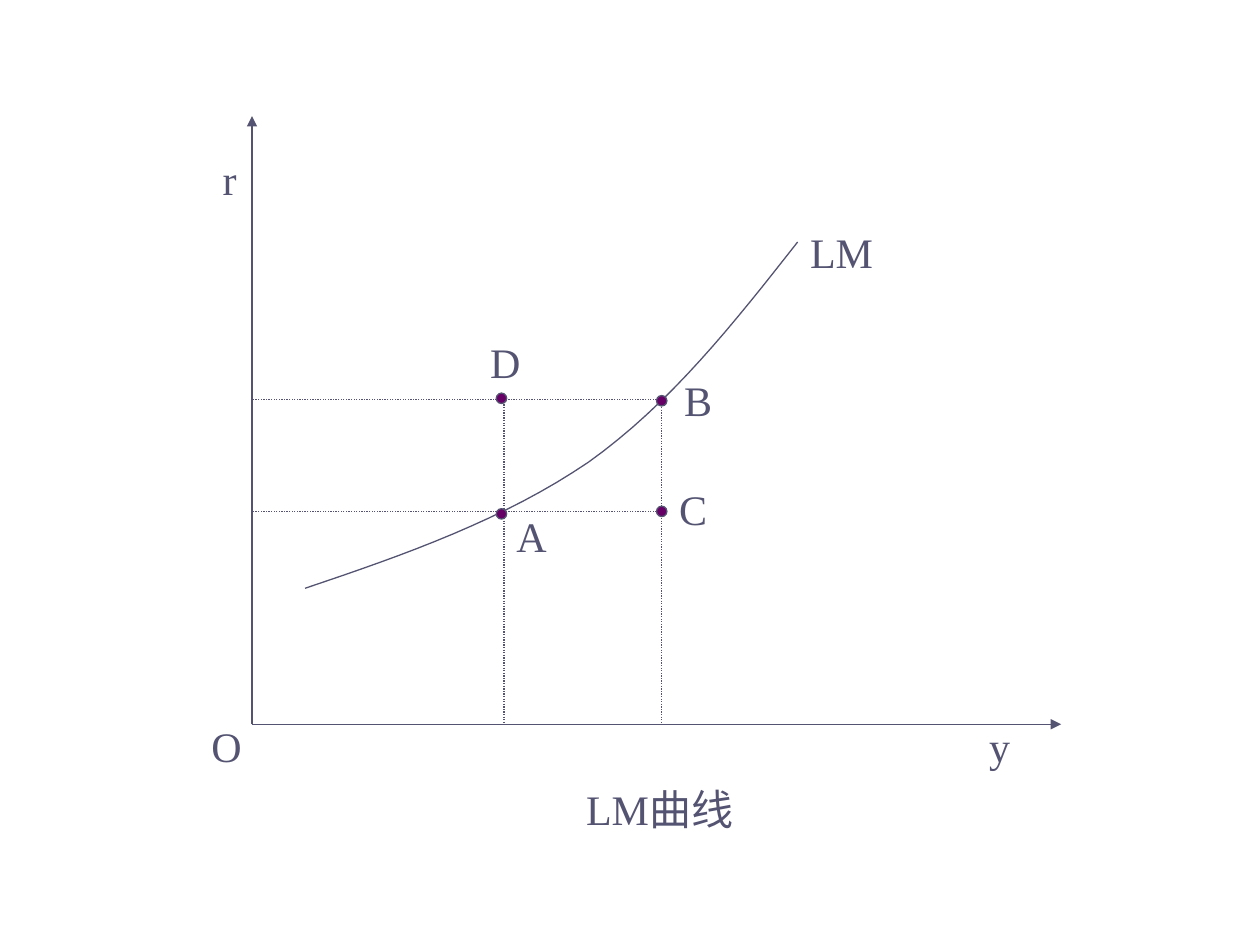
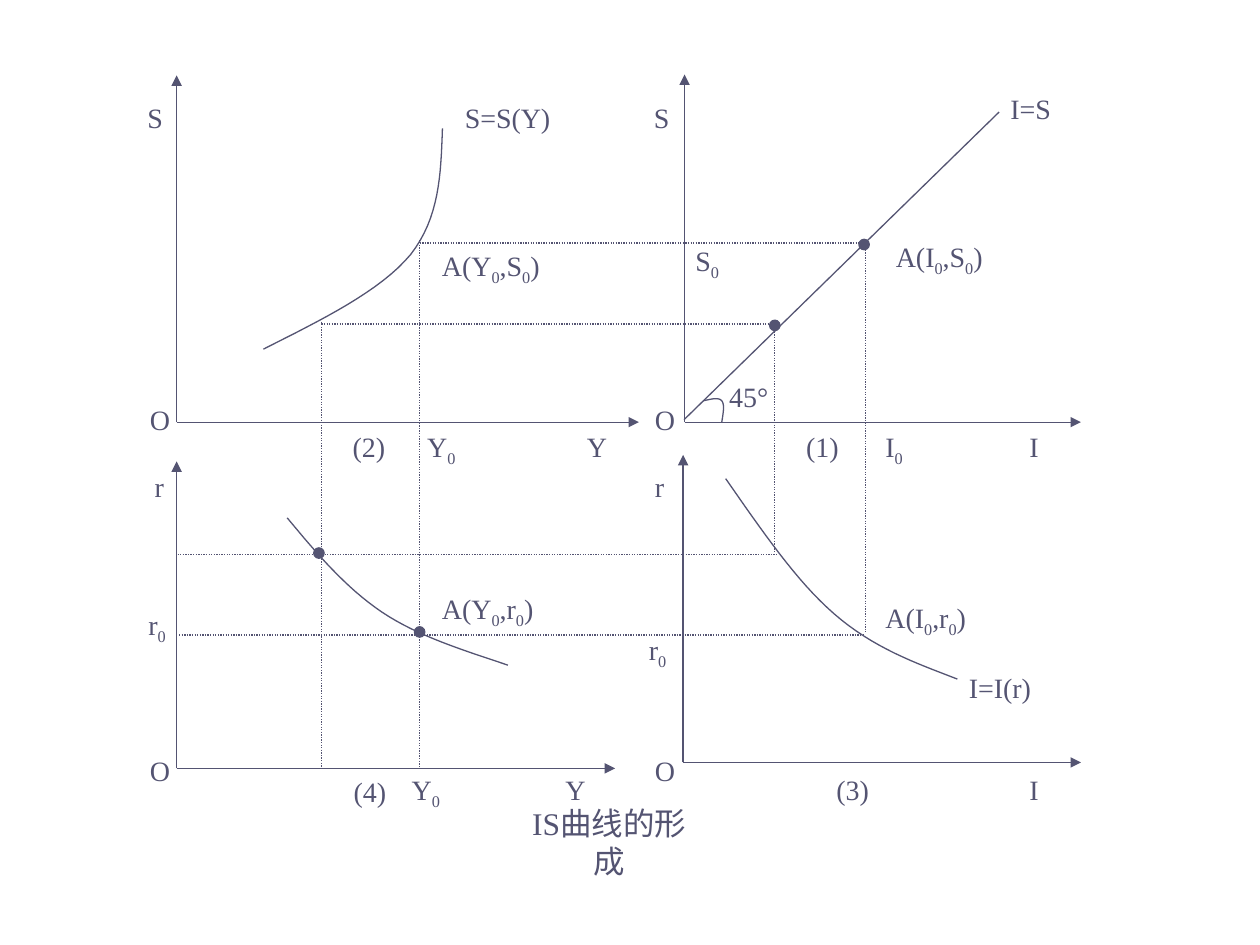
import lxml.etree
import pptx
import pptx.dml.color
import pptx.enum.dml
import pptx.enum.shapes
import pptx.enum.text
import pptx.oxml.ns
import pptx.util

Cm = pptx.util.Cm
qn = pptx.oxml.ns.qn
Align = pptx.enum.text.PP_ALIGN
STRAIGHT = pptx.enum.shapes.MSO_CONNECTOR.STRAIGHT
OVAL = pptx.enum.shapes.MSO_SHAPE.OVAL
INK = pptx.dml.color.RGBColor(0x54, 0x54, 0x72)
PURPLE = pptx.dml.color.RGBColor(0x66, 0x00, 0x66)
FONT = "Times New Roman"
DOT = 0.21
CURVE_STEPS = 16


def write(box, text, size=16, align=Align.LEFT, wrap=True):
    frame = box.text_frame
    frame.word_wrap = wrap
    frame.auto_size = pptx.enum.text.MSO_AUTO_SIZE.NONE
    frame.vertical_anchor = pptx.enum.text.MSO_ANCHOR.TOP
    para = frame.paragraphs[0]
    para.alignment = align
    first, *rest = text.split("_")
    pieces = [(first, False)]
    for part in rest:
        pieces += [(part[0], True), (part[1:], False)]
    for piece, lowered in pieces:
        if piece:
            span = para.add_run()
            span.text = piece
            span.font.name = FONT
            span.font.size = pptx.util.Pt(size)
            span.font.color.rgb = INK
            if lowered:
                span.font._element.set("baseline", "-25000")


def outline(shape, dotted=False, arrow=False):
    shape.line.color.rgb = INK
    shape.line.width = pptx.util.Pt(0.75)
    if dotted:
        shape.line.dash_style = pptx.enum.dml.MSO_LINE.ROUND_DOT
    properties = shape._element.spPr
    if arrow:
        lxml.etree.SubElement(properties.find(qn("a:ln")), qn("a:tailEnd"), type="triangle")
    lxml.etree.SubElement(properties, qn("a:effectLst"))


lm_diagram = {
    "caption": ("LM曲线", 24, Align.LEFT, (11.56, 15.67, 3.48, 2.29)),
    "label_size": 24,
    "label_wrap": True,
    "dot_color": PURPLE,
    "axes": [(5.08, 14.6, 2.34, 21.39)],
    "solid": [],
    "curves": [
        [(6.15, 11.86), (8.18, 11.18), (10.19, 10.46), (11.86, 9.32),
         (13.51, 8.15), (14.81, 6.5), (16.08, 4.88)],
    ],
    "dotted": [
        (13.34, 8.05, 13.34, 14.6),
        (13.34, 8.05, 5.08, 8.05),
        (10.16, 8.05, 10.16, 14.6),
        (13.34, 10.31, 5.08, 10.31),
    ],
    "dots": [(13.34, 8.08), (10.11, 8.03), (13.34, 10.31), (10.11, 10.36)],
    "labels": [
        ("O", 4.01, 14.4, 1.7),
        ("B", 13.54, 7.42, 1.47),
        ("LM", 16.08, 4.45, 2.11),
        ("D", 9.63, 6.65, 1.47),
        ("C", 13.44, 9.63, 1.27),
        ("A", 10.16, 10.16, 1.07),
        ("r", 4.24, 2.97, 1.7),
        ("y", 19.69, 14.4, 1.9),
    ],
}

is_diagram = {
    "caption": ("IS曲线的形成", 18, Align.CENTER, (10.16, 16.08, 4.24, 1.78)),
    "label_size": 16,
    "label_wrap": False,
    "dot_color": INK,
    "axes": [
        (3.56, 8.51, 1.52, 12.88),
        (13.8, 8.51, 1.5, 21.79),
        (3.56, 15.49, 9.3, 12.4),
        (13.77, 15.37, 9.17, 21.79),
    ],
    "solid": [(13.79, 8.46, 20.14, 2.26)],
    "curves": [
        [(8.92, 2.59), (8.89, 3.51), (8.86, 4.39), (8.28, 5.13),
         (7.67, 5.87), (6.48, 6.45), (5.31, 7.04)],
        [(5.79, 10.44), (6.38, 11.15), (6.96, 11.84), (7.7, 12.34),
         (8.43, 12.83), (9.35, 13.11), (10.24, 13.41)],
        [(14.63, 9.65), (15.34, 10.67), (16.05, 11.71), (16.81, 12.37),
         (17.6, 13.06), (18.44, 13.36), (19.3, 13.69)],
        [(14.17, 8.08), (14.33, 8.05), (14.48, 8), (14.55, 8.08),
         (14.61, 8.15), (14.58, 8.33), (14.55, 8.51)],
    ],
    "dotted": [
        (3.61, 12.8, 17.42, 12.8),
        (3.58, 11.18, 15.65, 11.18),
        (6.48, 6.43, 6.48, 15.52),
        (8.46, 4.83, 8.46, 15.49),
        (8.46, 4.9, 17.48, 4.9),
        (6.48, 6.53, 15.49, 6.53),
        (15.62, 6.48, 15.62, 11.15),
        (17.45, 4.93, 17.45, 12.75),
    ],
    "dots": [(6.43, 11.15), (15.62, 6.56), (17.42, 4.93), (8.46, 12.74)],
    "labels": [
        ("S", 2.72, 1.91, 0.81),
        ("S", 12.93, 1.91, 0.81),
        ("O", 2.77, 8, 0.91),
        ("O", 12.95, 8, 0.91),
        ("O", 2.77, 15.06, 0.91),
        ("O", 12.95, 15.06, 0.91),
        ("r", 2.87, 9.35, 0.69),
        ("r", 12.95, 9.35, 0.69),
        ("r_0", 2.74, 12.12, 0.86),
        ("r_0", 12.83, 12.62, 0.86),
        ("S_0", 13.77, 4.78, 0.99),
        ("Y", 11.58, 8.53, 0.91),
        ("Y", 11.15, 15.44, 0.91),
        ("Y_0", 8.36, 8.53, 1.07),
        ("Y_0", 8.05, 15.44, 1.07),
        ("I", 20.5, 8.53, 0.69),
        ("I", 20.5, 15.44, 0.69),
        ("I_0", 17.6, 8.53, 0.86),
        ("(1)", 16, 8.53, 1.17),
        ("(2)", 6.86, 8.53, 1.17),
        ("(3)", 16.61, 15.44, 1.17),
        ("(4)", 6.88, 15.49, 1.17),
        ("45°", 14.45, 7.52, 1.7),
        ("S=S(Y)", 9.12, 1.91, 2.24),
        ("I=S", 20.12, 1.73, 1.32),
        ("I=I(r)", 19.28, 13.39, 1.75),
        ("A(I_0,S_0)", 17.81, 4.7, 2.26),
        ("A(Y_0,S_0)", 8.66, 4.88, 2.46),
        ("A(I_0,r_0)", 17.6, 11.99, 2.13),
        ("A(Y_0,r_0)", 8.66, 11.81, 2.34),
    ],
}

deck = pptx.Presentation()
deck.slide_width = Cm(25.4)
deck.slide_height = Cm(19.05)

for diagram in (lm_diagram, is_diagram):
    page = deck.slides.add_slide(deck.slide_layouts[5])

    lines = []
    for x, y, top, right in diagram["axes"]:
        lines += [((x, y, x, top), False, True), ((x, y, right, y), False, True)]
    lines += [(ends, False, False) for ends in diagram["solid"]]
    lines += [(ends, True, False) for ends in diagram["dotted"]]
    for ends, dotted, arrow in lines:
        line = page.shapes.add_connector(STRAIGHT, *map(Cm, ends))
        outline(line, dotted=dotted, arrow=arrow)

    for knots in diagram["curves"]:
        points = []
        for start in range(0, len(knots) - 1, 3):
            a, b, c, d = knots[start:start + 4]
            for step in range(1, CURVE_STEPS + 1):
                t = step / CURVE_STEPS
                s = 1 - t
                points.append(tuple(
                    Cm(s**3 * a[i] + 3 * s * s * t * b[i] + 3 * s * t * t * c[i] + t**3 * d[i])
                    for i in (0, 1)
                ))
        builder = page.shapes.build_freeform(Cm(knots[0][0]), Cm(knots[0][1]))
        builder.add_line_segments(points, close=False)
        curve = builder.convert_to_shape()
        curve.fill.background()
        outline(curve)

    for x, y in diagram["dots"]:
        dot = page.shapes.add_shape(OVAL, Cm(x - DOT / 2), Cm(y - DOT / 2), Cm(DOT), Cm(DOT))
        dot.fill.solid()
        dot.fill.fore_color.rgb = diagram["dot_color"]
        outline(dot)

    size = diagram["label_size"]
    for text, left, top, width in diagram["labels"]:
        height = 1.27 if size == 24 else 1.04 if "_" in text else 0.94
        box = page.shapes.add_textbox(Cm(left), Cm(top), Cm(width), Cm(height))
        write(box, text, size=size, wrap=diagram["label_wrap"])

    text, size, align, (left, top, width, height) = diagram["caption"]
    caption = page.shapes.title
    caption.left, caption.top = Cm(left), Cm(top)
    caption.width, caption.height = Cm(width), Cm(height)
    write(caption, text, size=size, align=align)

deck.save("out.pptx")
